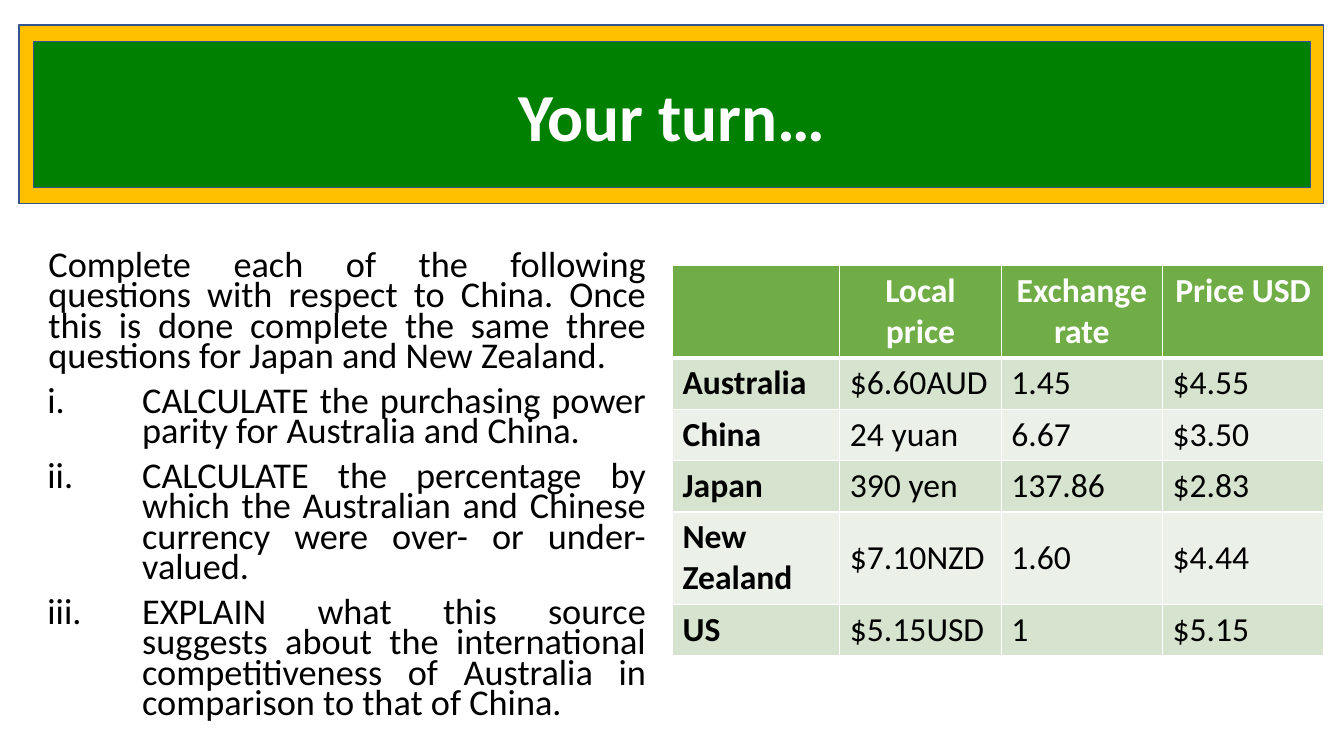
import dataclasses
import typing

import pptx
import pptx.dml.color
import pptx.enum.shapes
import pptx.enum.text
import pptx.oxml
import pptx.oxml.ns
import pptx.util

Inches, Pt = pptx.util.Inches, pptx.util.Pt
ALIGN, ANCHOR = pptx.enum.text.PP_ALIGN, pptx.enum.text.MSO_ANCHOR

COLORS = {
    "gold": "FFC000", "green": "008000", "outline": "325491",
    "header": "70AD47", "band_dark": "D5E3CF", "band_light": "EBF1E9",
    "white": "FFFFFF", "black": "000000",
}
FONT = "Calibri"


@dataclasses.dataclass
class Box:
    left: float
    top: float
    width: float
    height: float


@dataclasses.dataclass
class Style:
    size: float
    color: str
    bold: bool = False


@dataclasses.dataclass
class Country:
    name: str
    local_price: str
    rate: str
    price_usd: str
    height: float = 0.51
    anchor: typing.Any = ANCHOR.TOP


FRAME = Box(0.19, 0.25, 12.94, 1.77)
BANNER = Box(0.33, 0.41, 12.67, 1.45)
BODY = Box(0.19, 2.34, 6.32, 4.99)
TABLE = Box(6.67, 2.63, 6.46, 3.86)

INTRO = ("Complete each of the following questions with respect to China. Once this is "
         "done complete the same three questions for Japan and New Zealand.")
QUESTIONS = [
    "CALCULATE the purchasing power parity for Australia and China.",
    "CALCULATE the percentage by which the Australian and Chinese currency were "
    "over- or under- valued.",
    "EXPLAIN what this source suggests about the international competitiveness of "
    "Australia in comparison to that of China.",
]
HEADERS = ["", "Local price", "Exchange rate", "Price USD"]
COLUMN_WIDTHS = [1.66, 1.6, 1.6, 1.6]
HEADER_HEIGHT = 0.92
COUNTRIES = [
    Country("Australia", "$6.60AUD", "1.45", "$4.55"),
    Country("China", "24 yuan", "6.67", "$3.50"),
    Country("Japan", "390 yen", "137.86", "$2.83", anchor=ANCHOR.MIDDLE),
    Country("New Zealand", "$7.10NZD", "1.60", "$4.44", 0.92, ANCHOR.MIDDLE),
    Country("US", "$5.15USD", "1", "$5.15"),
]


def rgb(name: str) -> pptx.dml.color.RGBColor:
    return pptx.dml.color.RGBColor.from_string(COLORS[name])


def apply(obj: typing.Any, values: dict) -> None:
    for name, value in values.items():
        setattr(obj, name, value)


def place(sp: typing.Any, box: Box) -> None:
    apply(sp, {k: Inches(v) for k, v in dataclasses.asdict(box).items()})


def paint(sp: typing.Any, fill: str) -> None:
    sp.fill.solid()
    sp.fill.fore_color.rgb = rgb(fill)
    sp.line.color.rgb = rgb("outline")
    sp.line.width = Pt(1)


def write(p: typing.Any, text: str, style: Style) -> None:
    r = p.add_run()
    r.text = text
    apply(r.font, {"name": FONT, "size": Pt(style.size), "bold": style.bold})
    r.font.color.rgb = rgb(style.color)


def add_bullet(p: typing.Any, numbered: bool) -> None:
    pPr = p._p.get_or_add_pPr()
    tag = 'a:buAutoNum type="romanLcPeriod"' if numbered else "a:buNone"
    pPr.append(pptx.oxml.parse_xml(f'<{tag} {pptx.oxml.ns.nsdecls("a")}/>'))
    left, indent = (1.12, -0.94) if numbered else (0.19, 0)
    pPr.set("marL", str(Inches(left)))
    pPr.set("indent", str(Inches(indent)))


def add_borders(cell: typing.Any, top: float, bottom: float) -> None:
    tcPr = cell._tc.get_or_add_tcPr()
    for side, width in {"L": 1, "R": 1, "T": top, "B": bottom}.items():
        tcPr.append(pptx.oxml.parse_xml(
            f'<a:ln{side} {pptx.oxml.ns.nsdecls("a")} w="{Pt(width)}"><a:solidFill>'
            f'<a:srgbClr val="{COLORS["white"]}"/></a:solidFill></a:ln{side}>'))


def add_title(slide: typing.Any) -> None:
    sp = slide.shapes.add_shape(pptx.enum.shapes.MSO_SHAPE.RECTANGLE, 0, 0, 0, 0)
    place(sp, FRAME)
    paint(sp, "gold")
    sp.shadow.inherit = False
    title = slide.shapes.title
    sp._element.addnext(title._element)  # banner sits in front of its frame
    place(title, BANNER)
    paint(title, "green")
    tf = title.text_frame
    apply(tf, {"vertical_anchor": ANCHOR.MIDDLE, "word_wrap": True,
               "auto_size": pptx.enum.text.MSO_AUTO_SIZE.NONE})
    tf.paragraphs[0].alignment = ALIGN.CENTER
    write(tf.paragraphs[0], "Your turn…", Style(48, "white", True))


def add_questions(slide: typing.Any) -> None:
    sp = slide.placeholders[1]
    place(sp, BODY)
    tf = sp.text_frame
    apply(tf, {"vertical_anchor": ANCHOR.MIDDLE, "word_wrap": True,
               "auto_size": pptx.enum.text.MSO_AUTO_SIZE.NONE})
    for i, text in enumerate([INTRO, *QUESTIONS]):
        p = tf.add_paragraph() if i else tf.paragraphs[0]
        add_bullet(p, numbered=i > 0)
        apply(p, {"alignment": ALIGN.JUSTIFY, "line_spacing": 0.7,
                  "space_before": Pt(10 if i else 0)})
        write(p, text, Style(25.9, "black"))


def fill_cell(cell: typing.Any, text: str, fill: str, style: Style,
              align: typing.Any, anchor: typing.Any) -> None:
    cell.fill.solid()
    cell.fill.fore_color.rgb = rgb(fill)
    cell.vertical_anchor = anchor
    p = cell.text_frame.paragraphs[0]
    p.alignment = align
    if text:
        write(p, text, style)


def add_price_table(slide: typing.Any) -> None:
    rows, cols = len(COUNTRIES) + 1, len(HEADERS)
    sp = slide.shapes.add_table(rows, cols, 0, 0, Inches(TABLE.width), Inches(TABLE.height))
    place(sp, TABLE)
    table = sp.table
    for column, width in zip(table.columns, COLUMN_WIDTHS):
        column.width = Inches(width)
    # Header row
    table.rows[0].height = Inches(HEADER_HEIGHT)
    for j, text in enumerate(HEADERS):
        cell = table.cell(0, j)
        add_borders(cell, 1, 3)
        fill_cell(cell, text, "header", Style(24, "white", True), ALIGN.CENTER, ANCHOR.TOP)
    # Country rows
    for i, country in enumerate(COUNTRIES, start=1):
        table.rows[i].height = Inches(country.height)
        fill = "band_dark" if i % 2 else "band_light"
        values = [country.name, country.local_price, country.rate, country.price_usd]
        for j, text in enumerate(values):
            cell = table.cell(i, j)
            add_borders(cell, 3 if i == 1 else 1, 1)
            fill_cell(cell, text, fill, Style(24, "black", j == 0), ALIGN.LEFT,
                      country.anchor if j else ANCHOR.TOP)


def main() -> None:
    prs = pptx.Presentation()
    apply(prs, {"slide_width": Inches(13.33), "slide_height": Inches(7.5)})
    slide = prs.slides.add_slide(prs.slide_layouts[1])
    add_questions(slide)
    add_title(slide)
    add_price_table(slide)
    prs.save("out.pptx")


if __name__ == "__main__":
    main()
